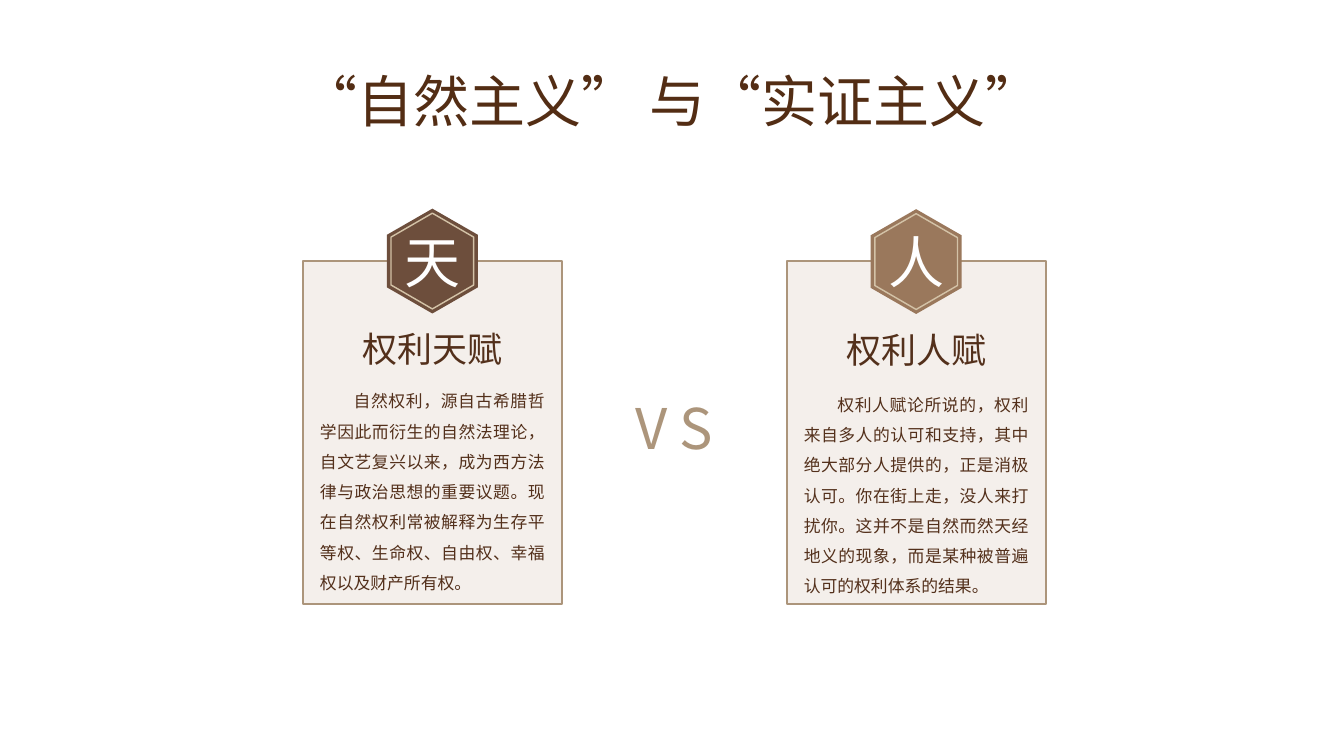
from pptx import Presentation
from pptx.dml.color import RGBColor
from pptx.enum.lang import MSO_LANGUAGE_ID as Lang
from pptx.enum.shapes import MSO_SHAPE as Shape
from pptx.enum.text import MSO_ANCHOR as Anchor, MSO_AUTO_SIZE as AutoSize, PP_ALIGN as Align
from pptx.oxml.ns import qn
from pptx.util import Inches, Pt
from lxml import etree

FONT = "Noto Sans CJK SC"
WHITE = RGBColor(0xFF, 0xFF, 0xFF)
TITLE_BROWN = RGBColor(0x53, 0x2D, 0x14)
TEXT_BROWN = RGBColor(0x53, 0x30, 0x1B)
TAN = RGBColor(0xAC, 0x95, 0x7B)
PALE_TAN = RGBColor(0xD3, 0xC2, 0xA7)
CREAM = RGBColor(0xF4, 0xEF, 0xEB)
DARK_BADGE = RGBColor(0x6D, 0x4E, 0x3C)
LIGHT_BADGE = RGBColor(0x9A, 0x78, 0x5C)

CARD_W, CARD_H = 5.14, 6.81


def add_text(shapes, box, text, size, color, inset=0.06, align=Align.CENTER,
             anchor=Anchor.MIDDLE, spacing=1.0, wrap=False, indent=0):
    label = shapes.add_textbox(*map(Inches, box))
    frame = label.text_frame
    frame.text = text
    frame.word_wrap = wrap
    frame.auto_size = AutoSize.SHAPE_TO_FIT_TEXT
    frame.vertical_anchor = anchor
    frame.margin_left = frame.margin_right = Inches(inset)
    frame.margin_top = frame.margin_bottom = Inches(inset)
    paragraph = frame.paragraphs[0]
    paragraph.alignment = align
    paragraph.line_spacing = spacing
    if indent:
        paragraph._p.get_or_add_pPr().set("indent", str(Pt(indent)))
    font = paragraph.runs[0].font
    font.size = Pt(size)
    font.name = FONT
    font.color.rgb = color
    font.language_id = Lang.SIMPLIFIED_CHINESE
    # East Asian typeface
    east_asian = etree.Element(qn("a:ea"), typeface=FONT)
    font._element.find(qn("a:latin")).addnext(east_asian)


def paint(shape, fill, line=None, width=0):
    shape.shadow.inherit = False
    shape.fill.solid()
    shape.fill.fore_color.rgb = fill
    if line is None:
        shape.line.fill.background()
    else:
        shape.line.color.rgb = line
        shape.line.width = Pt(width)


def add_hexagon(shapes, center_x, center_y, width, height, fill, line=None):
    """Upright hexagon with a point at the top and the bottom."""
    half_w, half_h = width / 2, height / 2
    corners = [(0, -half_h), (half_w, -half_h / 2), (half_w, half_h / 2),
               (0, half_h), (-half_w, half_h / 2), (-half_w, -half_h / 2)]
    points = [(Inches(center_x + x), Inches(center_y + y)) for x, y in corners]
    outline = shapes.build_freeform(*points[0])
    outline.add_line_segments(points[1:], close=True)
    paint(outline.convert_to_shape(), fill, line, 2)


def add_card(slide, left, top, badge_color, badge, heading, body, body_offset):
    shapes = slide.shapes.add_group_shape().shapes
    middle = left + CARD_W / 2

    # Panel
    panel = shapes.add_shape(Shape.ROUNDED_RECTANGLE, Inches(left), Inches(top),
                             Inches(CARD_W), Inches(CARD_H))
    panel.adjustments[0] = 0
    paint(panel, CREAM, TAN, 3)

    # Badge on the top edge
    add_hexagon(shapes, middle, top + 0.01, 1.81, 2.08, badge_color)
    add_hexagon(shapes, middle, top + 0.01, 1.64, 1.9, badge_color, PALE_TAN)
    add_text(shapes, (middle - 0.615, top - 0.72, 1.23, 1.46), badge, 80, WHITE)

    # Body and heading
    add_text(shapes, (middle - 2.29, top + body_offset, 4.58, 4.35), body, 24, TEXT_BROWN,
             align=Align.JUSTIFY, anchor=Anchor.TOP, spacing=1.5, wrap=True, indent=48)
    add_text(shapes, (middle - 1.46, top + 1.27, 2.92, 0.95), heading, 50, TEXT_BROWN)


def add_headline(slide, box, text, color):
    add_text(slide.shapes, box, text, 80, color, inset=0.1, spacing=0.9, wrap=True)


def main():
    deck = Presentation()
    deck.slide_width, deck.slide_height = Inches(26.67), Inches(15)
    slide = deck.slides.add_slide(deck.slide_layouts[6])

    add_headline(slide, (4.99, 1.37, 16.68, 1.41), "“自然主义” 与“实证主义”", TITLE_BROWN)
    add_headline(slide, (12, 7.86, 2.76, 1.41), "V S", TAN)

    add_card(slide, 6.01, 5.17, DARK_BADGE, "天", "权利天赋",
             "自然权利，源自古希腊哲学因此而衍生的自然法理论，自文艺复兴以来，"
             "成为西方法律与政治思想的重要议题。现在自然权利常被解释为生存平等权、"
             "生命权、自由权、幸福权以及财产所有权。", 2.33)
    add_card(slide, 15.61, 5.18, LIGHT_BADGE, "人", "权利人赋",
             "权利人赋论所说的，权利来自多人的认可和支持，其中绝大部分人提供的，"
             "正是消极认可。你在街上走，没人来打扰你。这并不是自然而然天经地义的现象，"
             "而是某种被普遍认可的权利体系的结果。", 2.39)

    deck.save("out.pptx")


if __name__ == "__main__":
    main()
